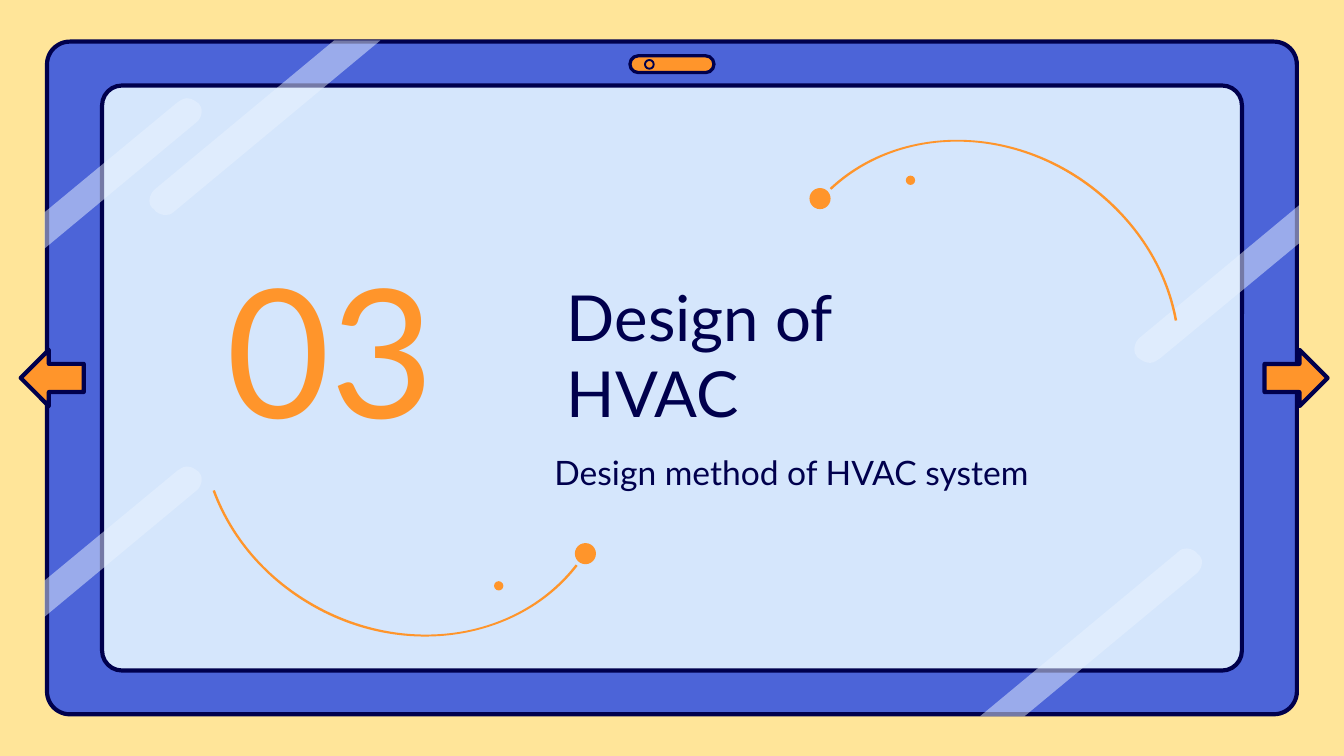
from dataclasses import dataclass
from math import cos, hypot, radians, sin

from pptx import Presentation
from pptx.dml.color import RGBColor
from pptx.enum.shapes import MSO_SHAPE as Preset
from pptx.enum.text import MSO_ANCHOR as Anchor, PP_ALIGN as Align
from pptx.oxml.ns import qn
from pptx.util import Pt
from lxml.etree import SubElement

COLORS = {"wall": "FFE599", "frame": "4C64D8", "screen": "D5E6FC",
          "navy": "00004D", "orange": "FF952B", "glare": "E9F3FF"}
TAGS = {1: "a:lnTo", 3: "a:cubicBezTo"}
HALF_BAND = 0.65

Point = tuple[float, float]
Outline = list[list[Point]]  # segments of one point (corner) or three (Bezier curve)

SIDE_STREAK = [[(76.3, 0)], [(79.2, 0), (80.6, 1.4), (82.8, 2.9)],
               [(85, 5), (85, 10.1), (81.4, 13)], [(0, 80.6)], [(0, 61.2)],
               [(71.3, 2.2)], [(72.7, 1.4), (74.2, 0), (76.3, 0)]]
EDGE_STREAK = [[(0, 90)], [(105.8, 2.2)], [(108, 0), (109.4, 0), (110.9, 0)],
               [(113, 0), (115.9, 1.4), (116.6, 2.9)],
               [(120.2, 5), (119.5, 10.1), (116.6, 13)], [(23.8, 90)]]


@dataclass
class Streak:
    outline: Outline
    left: float
    top: float
    scale: float = 1  # a negative scale turns the streak by half
    rotation: float = 0


@dataclass
class Arc:
    centerline: list[Point]
    rotation: float


@dataclass
class Panel:
    preset: Preset
    left: float
    top: float
    width: float
    height: float
    fill: str
    line_width: float = 0
    roundness: float | None = None
    rotation: float = 0


@dataclass
class Label:
    text: str
    box: tuple
    inset: float
    anchor: Anchor
    align: Align
    size: float
    color: str


def dot(center_x: float, center_y: float, diameter: float, line_width: float = 0) -> Panel:
    return Panel(Preset.OVAL, center_x - diameter / 2, center_y - diameter / 2,
                 diameter, diameter, "orange", line_width)


DEVICE = [
    Panel(Preset.ROUNDED_RECTANGLE, 25.2, 22.3, 669.6, 360.4, "frame", 2.25, 0.034),
    Panel(Preset.ROUNDED_RECTANGLE, 54.7, 45.8, 610.6, 313.4, "screen", 2.25, 0.034, 180),
]
STREAKS = [
    Streak(EDGE_STREAK, 524.9, 293.8, 1, 180),
    Streak(EDGE_STREAK, 203.8, 115.2, -1.04, 180),
    Streak(SIDE_STREAK, 23.8, 52.6),
    Streak(SIDE_STREAK, 23.8, 249.9),
    Streak(SIDE_STREAK, 696.2, 194.4, -1.05, 180),
]
ARCS = [
    Arc([(445, 101.2), (479.9, 68.4), (537.5, 66.2), (582.1, 98.3),
         (608.8, 117.7), (625, 144), (630, 171.7)], 305.5),
    Arc([(308.9, 302.8), (279.7, 340.6), (223.2, 352.1), (173.9, 327.6),
         (144.4, 312.8), (124.2, 289.1), (114.5, 262.8)], 116.3),
]
CAMERA = [Panel(Preset.ROUNDED_RECTANGLE, 337.5, 29.9, 45, 9, "orange", 1.75, 0.5),
          dot(347.9, 34.5, 4.7, 1)]
DOTS = [dot(487.8, 96.6, 5), dot(439.3, 106.4, 11.3),
        dot(267.2, 313.9, 5), dot(313.6, 296.6, 11.3)]
ARROWS = [
    Panel(Preset.LEFT_ARROW, 11.1, 187.4, 33.8, 30.2, "orange", 2.25),
    Panel(Preset.LEFT_ARROW, 677.4, 187.4, 33.8, 30.2, "orange", 2.25, rotation=180),
]
LABELS = [
    Label("Design of HVAC", (296.6, 171.4, 198.7, 66.2), 7.2, Anchor.BOTTOM, Align.LEFT,
          34, "navy"),
    Label("Design method of HVAC system", (241.9, 241.9, 364.3, 21.6), 0, Anchor.TOP,
          Align.CENTER, 18, "navy"),
    Label("03", (90.4, 135, 173.5, 101.5), 7.2, Anchor.MIDDLE, Align.CENTER, 96, "orange"),
]


def rgb(name: str) -> RGBColor:
    return RGBColor.from_string(COLORS[name])


def style(shape, fill: str, line_width: float = 0) -> None:
    shape.shadow.inherit = False
    shape.fill.solid()
    shape.fill.fore_color.rgb = rgb(fill)
    if line_width:
        shape.line.color.rgb = rgb("navy")
        shape.line.width = Pt(line_width)
    else:
        shape.line.fill.background()


def rotate(point: Point, degrees: float) -> Point:
    x, y = point
    angle = radians(degrees)
    return x * cos(angle) - y * sin(angle), x * sin(angle) + y * cos(angle)


def bounding_points(outline: Outline) -> list[Point]:
    """Return points along the outline, dense enough to give its bounds."""
    points = [outline[0][0]]
    for segment in outline[1:]:
        if len(segment) == 3:
            controls = list(zip(points[-1], *segment))
            for t in (step / 20 for step in range(1, 20)):
                u = 1 - t
                points.append(tuple(u**3 * a + 3 * u * u * t * b + 3 * u * t * t * c + t**3 * d
                                    for a, b, c, d in controls))
        points.append(segment[-1])
    return points


def draw_outline(slide, outline: Outline, fill: str, rotation: float):
    """Draw a closed outline with true curves in a frame turned by rotation."""
    outline = [[rotate(point, -rotation) for point in segment] for segment in outline]
    corners = [(Pt(x), Pt(y)) for x, y in bounding_points(outline)]
    builder = slide.shapes.build_freeform(*corners[0], scale=1.0)
    builder.add_line_segments(corners[1:], close=True)
    shape = builder.convert_to_shape()
    left, top = shape.left, shape.top
    geometry = next(shape._element.iter(qn("a:path")))
    for child in list(geometry):
        geometry.remove(child)
    for index, segment in enumerate(outline):
        command = SubElement(geometry, qn(TAGS[len(segment)] if index else "a:moveTo"))
        for x, y in segment:
            SubElement(command, qn("a:pt"), x=str(Pt(x) - left), y=str(Pt(y) - top))
    SubElement(geometry, qn("a:close"))
    center_x, center_y = rotate((left + shape.width / 2, top + shape.height / 2), rotation)
    shape.left, shape.top = int(center_x - shape.width / 2), int(center_y - shape.height / 2)
    shape.rotation = rotation
    style(shape, fill)
    return shape


def draw_streak(slide, streak: Streak) -> None:
    outline = [[(streak.left + x * streak.scale, streak.top + y * streak.scale)
                for x, y in segment] for segment in streak.outline]
    shape = draw_outline(slide, outline, "glare", streak.rotation)
    color = next(shape._element.iter(qn("a:srgbClr")))
    SubElement(color, qn("a:alpha"), val="50000")


def offset_curve(points: list[Point], distance: float) -> list[Point]:
    """Shift a chain of Bezier controls sideways, each along its tangent's normal."""
    shifted = []
    for index, (x, y) in enumerate(points):
        knot = (index + 1) // 3 * 3
        before, after = points[max(knot - 1, 0)], points[min(knot + 1, len(points) - 1)]
        run, rise = after[0] - before[0], after[1] - before[1]
        length = hypot(run, rise)
        shifted.append((x - distance * rise / length, y + distance * run / length))
    return shifted


def draw_arc(slide, arc: Arc) -> None:
    inner = offset_curve(arc.centerline, HALF_BAND)
    outer = offset_curve(arc.centerline, -HALF_BAND)[::-1]
    outline = [inner[:1], inner[1:4], inner[4:], outer[:1], outer[1:4], outer[4:]]
    draw_outline(slide, outline, "orange", arc.rotation)


def draw_panel(slide, panel: Panel) -> None:
    box = map(Pt, (panel.left, panel.top, panel.width, panel.height))
    shape = slide.shapes.add_shape(panel.preset, *box)
    shape.rotation = panel.rotation
    if panel.roundness is not None:
        shape.adjustments[0] = panel.roundness
    style(shape, panel.fill, panel.line_width)


def draw_label(slide, label: Label) -> None:
    frame = slide.shapes.add_textbox(*map(Pt, label.box)).text_frame
    margins = {f"margin_{side}": Pt(label.inset) for side in ("left", "top", "right", "bottom")}
    for name, value in {"word_wrap": True, "vertical_anchor": label.anchor, **margins}.items():
        setattr(frame, name, value)
    paragraph = frame.paragraphs[0]
    paragraph.alignment = label.align
    run = paragraph.add_run()
    run.text = label.text
    for name, value in {"name": "Lato", "size": Pt(label.size)}.items():
        setattr(run.font, name, value)
    run.font.color.rgb = rgb(label.color)


presentation = Presentation()
presentation.slide_width, presentation.slide_height = Pt(720), Pt(405)
slide = presentation.slides.add_slide(presentation.slide_layouts[6])
slide.background.fill.solid()
slide.background.fill.fore_color.rgb = rgb("wall")
for draw, items in ((draw_panel, DEVICE), (draw_streak, STREAKS), (draw_panel, CAMERA),
                    (draw_label, LABELS), (draw_arc, ARCS), (draw_panel, DOTS + ARROWS)):
    for item in items:
        draw(slide, item)
presentation.save("out.pptx")
